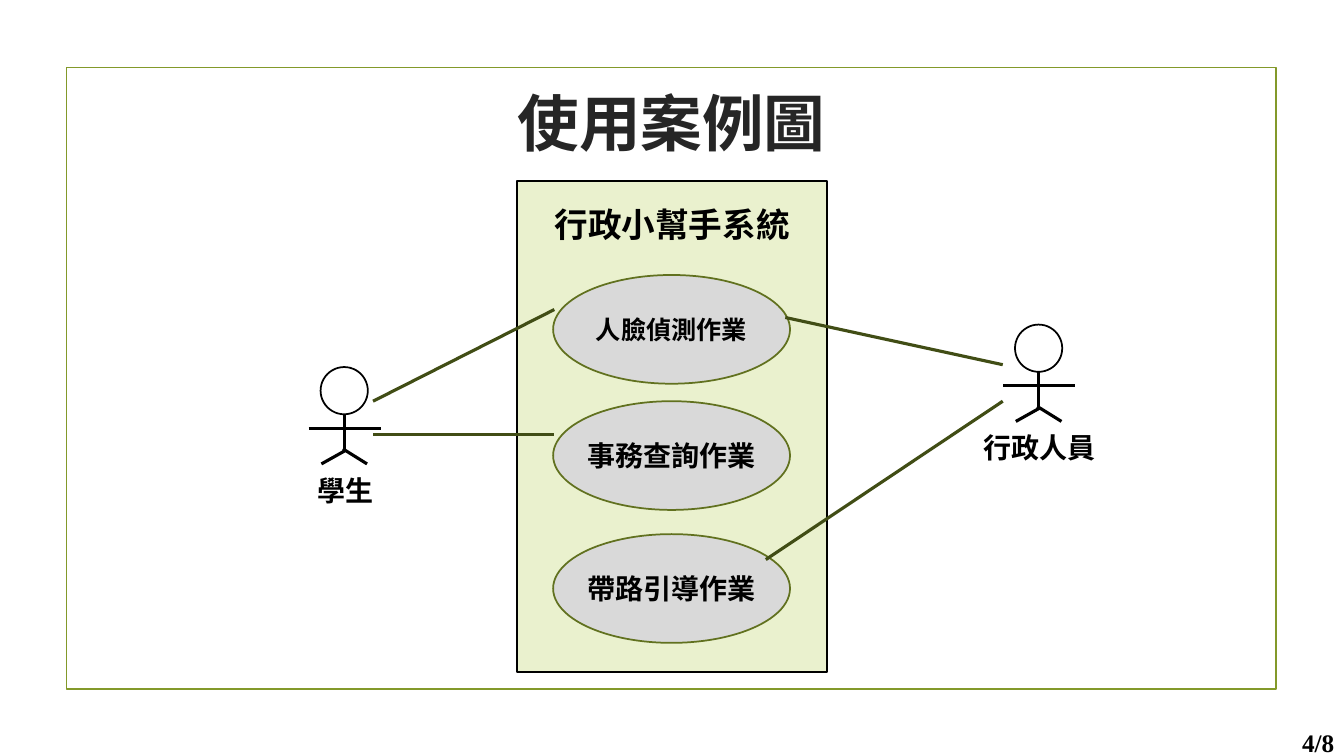
from dataclasses import dataclass

from lxml.etree import SubElement
from pptx import Presentation
from pptx.dml.color import RGBColor
from pptx.enum.shapes import MSO_CONNECTOR, MSO_SHAPE
from pptx.enum.text import MSO_ANCHOR, MSO_AUTO_SIZE, PP_ALIGN
from pptx.oxml.ns import qn
from pptx.util import Cm, Pt


@dataclass(frozen=True)
class Theme:
    font: str = "Times New Roman"
    black: str = "000000"
    title: str = "262626"
    frame: str = "83992A"
    system: str = "EAF1CE"
    use_case: str = "D9D9D9"
    use_case_line: str = "61711F"
    association: str = "414D15"
    title_size: int = 44
    system_size: int = 24
    label_size: int = 20
    small_size: int = 18
    outline: float = 1.25
    stroke: float = 2.25


theme = Theme()

presentation = Presentation()
presentation.slide_width, presentation.slide_height = Cm(33.87), Cm(19.05)
slide = presentation.slides.add_slide(presentation.slide_layouts[6])


def add_outlined(container, kind, left, top, width, height, line, fill=None):
    shape = container.shapes.add_shape(kind, Cm(left), Cm(top), Cm(width), Cm(height))
    shape.shadow.inherit = False
    shape.line.color.rgb = RGBColor.from_string(line)
    shape.line.width = Pt(theme.outline)
    if fill:
        shape.fill.solid()
        shape.fill.fore_color.rgb = RGBColor.from_string(fill)
    else:
        shape.fill.background()


def add_line(container, start, end, color):
    connector = container.shapes.add_connector(
        MSO_CONNECTOR.STRAIGHT, *[Cm(value) for value in (*start, *end)])
    connector.line.color.rgb = RGBColor.from_string(color)
    connector.line.width = Pt(theme.stroke)
    SubElement(connector._element.spPr, qn("a:effectLst"))


# Frame and system boundary
add_outlined(slide, MSO_SHAPE.RECTANGLE, 1.68, 1.7, 30.48, 15.67, theme.frame)
add_outlined(slide, MSO_SHAPE.RECTANGLE, 13.03, 4.57, 7.82, 12.37, theme.black, theme.system)

# Labels: container, text, centre x, centre y, size
labels = [
    (slide, "行政小幫手系統", 16.94, 5.64, theme.system_size),
    (slide, "4/8", 33.22, 18.72, theme.small_size),
]

# Use cases
case_left, case_width, case_height = 13.94, 5.97, 2.74
for name, top, size in [
    ("人臉偵測作業", 6.93, theme.small_size),
    ("事務查詢作業", 10.11, theme.label_size),
    ("帶路引導作業", 13.46, theme.label_size),
]:
    add_outlined(slide, MSO_SHAPE.OVAL, case_left, top, case_width, case_height,
                 theme.use_case_line, theme.use_case)
    labels.append((slide, name, case_left + case_width / 2, top + case_height / 2, size))

# Associations between actors and use cases
for start, end in [
    ((9.4, 10.11), (13.97, 7.8)),
    ((9.4, 10.95), (13.97, 10.95)),
    ((19.79, 8.0), (25.27, 9.19)),
    ((19.3, 14.1), (25.27, 10.11)),
]:
    add_line(slide, start, end, theme.association)

# Actors: limbs are offsets from the head's top left corner
head = 1.19
limbs = [
    ((-0.3, 1.54), (1.52, 1.54)),
    ((0.6, head), (0.6, 2.13)),
    ((0.61, 2.11), (0.02, 2.44)),
    ((1.17, 2.44), (0.56, 2.06)),
]
for name, left, top in [("行政人員", 25.58, 8.18), ("學生", 8.08, 9.25)]:
    actor = slide.shapes.add_group_shape()
    add_outlined(actor, MSO_SHAPE.OVAL, left, top, head, head, theme.black)
    for (x1, y1), (x2, y2) in limbs:
        add_line(actor, (left + x1, top + y1), (left + x2, top + y2), theme.black)
    labels.append((actor, name, left + 0.62, top + 3.1, theme.label_size))

# Title and labels, each box sized to its text
labels.insert(0, (slide, "使用案例圖", 16.93, 3.08, theme.title_size))
for container, text, center_x, center_y, size in labels:
    is_title = size == theme.title_size
    em = size * 2.54 / 72
    width = 26.67 if is_title else (1.47 if text.isascii() else len(text) * em + 0.51)
    height = 1.93 if is_title else 1.2 * em + 0.25
    box = container.shapes.add_textbox(
        Cm(center_x - width / 2), Cm(center_y - height / 2), Cm(width), Cm(height))
    text_frame = box.text_frame
    text_frame.text = text
    text_frame.word_wrap = is_title
    text_frame.auto_size = MSO_AUTO_SIZE.NONE if is_title else MSO_AUTO_SIZE.SHAPE_TO_FIT_TEXT
    text_frame.vertical_anchor = MSO_ANCHOR.MIDDLE if is_title else MSO_ANCHOR.TOP
    paragraph = text_frame.paragraphs[0]
    paragraph.alignment = PP_ALIGN.CENTER
    font = paragraph.runs[0].font
    font.name, font.size, font.bold = theme.font, Pt(size), True
    font.color.rgb = RGBColor.from_string(theme.title if is_title else theme.black)

presentation.save("out.pptx")
